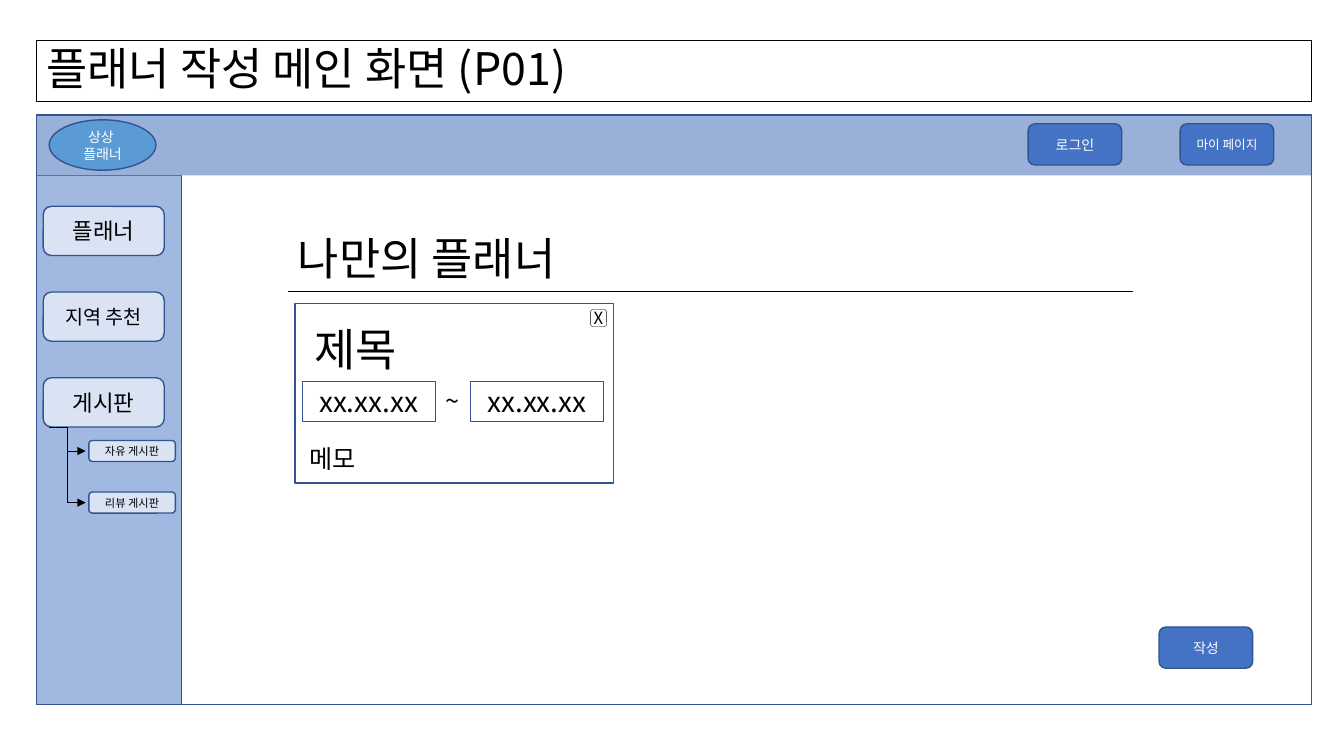
from lxml import etree
from pptx import Presentation
from pptx.dml.color import RGBColor
from pptx.enum.shapes import MSO_CONNECTOR, MSO_SHAPE
from pptx.enum.text import MSO_ANCHOR, PP_ALIGN
from pptx.oxml.ns import qn
from pptx.util import Cm, Pt

RECT, ROUND, OVAL = MSO_SHAPE.RECTANGLE, MSO_SHAPE.ROUNDED_RECTANGLE, MSO_SHAPE.OVAL
LINE, ELBOW = MSO_CONNECTOR.STRAIGHT, MSO_CONNECTOR.ELBOW
LEFT, CENTER = PP_ALIGN.LEFT, PP_ALIGN.CENTER
MIDDLE = MSO_ANCHOR.MIDDLE

FONT = "Noto Sans CJK KR"
BLACK, WHITE = "000000", "FFFFFF"
NAVY, BLUE, SKY, PALE, BAND = "325491", "4472C4", "5B9BD5", "DAE3F3", "99B0D9"

# Content; lengths in centimetres, sizes in points
TITLE = "플래너 작성 메인 화면 (P01)"
LOGO = ["상상 ", "플래너"]
BUTTONS = [("로그인", 10, 25.91, 3.12), ("마이 페이지", 9, 29.74, 3.12),
           ("작성", 10, 29.21, 15.8)]
MENU = [("플래너", 16), ("지역 추천", 14), ("게시판", 16)]
BOARDS = ["자유 게시판", "리뷰 게시판"]
LABELS = [("나만의 플래너", 32, (7.26, 5.69, 21.29, 1.63)),
          ("제목", 32, (7.67, 7.98, 2.9, 1.63)),
          ("~", 18, (10.97, 9.58, 0.97, 1.02)),
          ("메모", 18, (7.54, 11.05, 7.77, 1.02))]
DATE = "xx.xx.xx"

# Layout
EDGE, WIDE = 0.92, 32.13
TOP, HEAD, TALL = 2.9, 1.52, 14.86
MENU_X, MENU_Y, MENU_W, MENU_H, MENU_GAP = 1.09, 5.2, 3.05, 1.24, 2.16
SUB_X, SUB_Y, SUB_W, SUB_H, SUB_GAP = 2.24, 11.1, 2.18, 0.53, 1.3

deck = Presentation()
deck.slide_width, deck.slide_height = Cm(33.87), Cm(19.05)
slide = deck.slides.add_slide(deck.slide_layouts[6])


def color(code):
    return RGBColor.from_string(code)


def write(frame, lines, size, ink, align):
    for i, text in enumerate(lines):
        para = frame.paragraphs[0] if i == 0 else frame.add_paragraph()
        para.alignment = align
        run = para.add_run()
        run.text = text
        font = run.font
        font.size, font.name = Pt(size), FONT
        font.color.rgb = color(ink)
        # Hangul takes its face from the East Asian font
        etree.SubElement(run._r.get_or_add_rPr(), qn("a:ea"), typeface=FONT)


def shape(kind, box, fill=None, edge=NAVY, width=1, lines=(), size=10,
          ink=BLACK, align=CENTER):
    item = slide.shapes.add_shape(kind, *map(Cm, box))
    item.shadow.inherit = False
    if fill:
        item.fill.solid()
        item.fill.fore_color.rgb = color(fill)
    else:
        item.fill.background()
    if edge:
        item.line.color.rgb = color(edge)
        item.line.width = Pt(width)
    else:
        item.line.fill.background()
    item.text_frame.vertical_anchor = MIDDLE
    write(item.text_frame, lines, size, ink, align)
    return item


def label(text, size, box):
    frame = slide.shapes.add_textbox(*map(Cm, box)).text_frame
    frame.word_wrap = True
    write(frame, [text], size, BLACK, LEFT)


def link(kind, ends, bend=None, arrow=False):
    """Draw a thin connector; bend is the elbow's place in 1/100000 of its width."""
    item = slide.shapes.add_connector(kind, *map(Cm, ends))
    item.line.color.rgb = color(BLACK)
    item.line.width = Pt(0.5)
    props = item._element.spPr
    if bend is not None:
        guides = props.find(qn("a:prstGeom")).find(qn("a:avLst"))
        etree.SubElement(guides, qn("a:gd"), name="adj1", fmla=f"val {bend}")
    if arrow:
        etree.SubElement(props.find(qn("a:ln")), qn("a:tailEnd"), type="triangle")
    etree.SubElement(props, qn("a:effectLst"))


# Page frame
side = shape(RECT, (EDGE, TOP + HEAD, 3.66, TALL - HEAD), BLUE)
tint = side._element.spPr.find(qn("a:solidFill"))[0]
etree.SubElement(tint, qn("a:alpha"), val="50000")
shape(RECT, (EDGE, TOP, WIDE, HEAD), BAND, None)
title = shape(RECT, (EDGE, 1.02, WIDE, 1.55), edge=BLACK, width=0.75,
              lines=[TITLE], size=32, align=LEFT)
title.text_frame.paragraphs[0].line_spacing = 0.9
shape(RECT, (EDGE, TOP, WIDE, TALL))
shape(OVAL, (1.24, 3.02, 2.69, 1.27), SKY, lines=LOGO, ink=WHITE)

for text, size, x, y in BUTTONS:
    shape(ROUND, (x, y, 2.36, 1.04), BLUE, lines=[text], size=size, ink=WHITE)

# Side menu
for i, (text, size) in enumerate(MENU):
    shape(ROUND, (MENU_X, MENU_Y + i * MENU_GAP, MENU_W, MENU_H), PALE,
          lines=[text], size=size)

base = MENU_Y + (len(MENU) - 1) * MENU_GAP + MENU_H
for i, (text, start, bend) in enumerate(zip(BOARDS, (1.24, 1.7), (50000, 0))):
    y = SUB_Y + i * SUB_GAP
    link(ELBOW, (start, base, 2.16, y + SUB_H / 2), bend, True)
    shape(ROUND, (SUB_X, y, SUB_W, SUB_H), PALE, lines=[text], size=8)

# Planner card
link(LINE, (7.26, 7.34, 28.55, 7.34))
shape(RECT, (7.44, 7.65, 8.03, 4.52), WHITE)
for x in (7.62, 11.86):
    shape(RECT, (x, 9.61, 3.35, 1.02), WHITE, lines=[DATE], size=20)
for text, size, box in LABELS:
    label(text, size, box)

close = shape(ROUND, (14.88, 7.8, 0.41, 0.43), WHITE, BLACK, 0.25, ["X"], 12)
frame = close.text_frame
frame.word_wrap = False
frame.margin_left = frame.margin_right = frame.margin_top = frame.margin_bottom = 0

deck.save("out.pptx")
